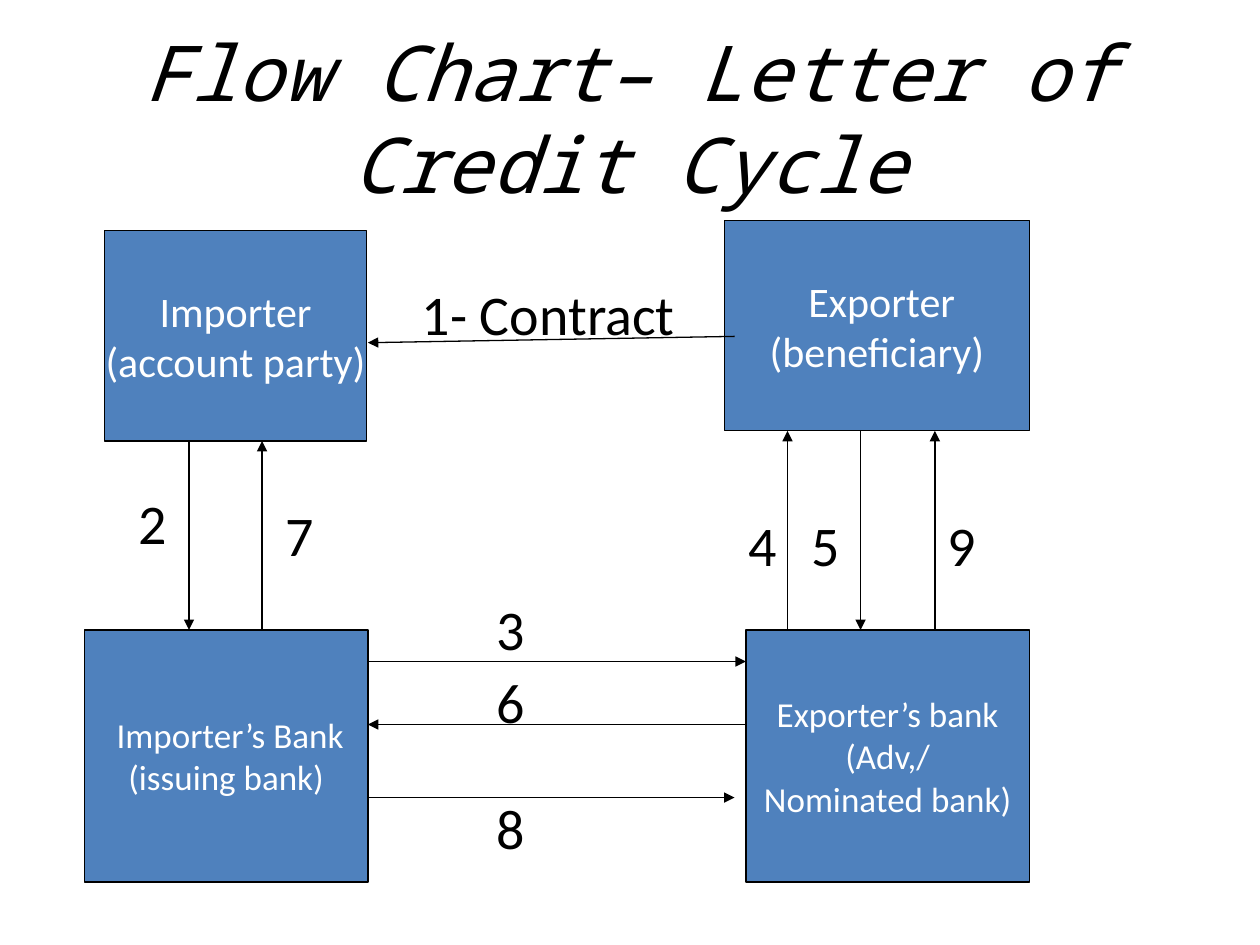
from dataclasses import dataclass

from lxml.etree import SubElement
from pptx import Presentation
from pptx.dml.color import RGBColor
from pptx.enum.shapes import MSO_CONNECTOR as Link, MSO_SHAPE as Form
from pptx.enum.text import MSO_ANCHOR as Anchor, PP_ALIGN as Align
from pptx.oxml.ns import qn
from pptx.util import Inches, Pt


@dataclass(frozen=True)
class Theme:
    """Colours, fonts and sizes of the slide."""
    ink: RGBColor = RGBColor(0, 0, 0)
    paper: RGBColor = RGBColor(255, 255, 255)
    blue: RGBColor = RGBColor(0x4F, 0x81, 0xBD)
    body: str = "Calibri"
    mono: str = "Noto Sans Mono"
    title: int = 44
    label: int = 32
    party: int = 24
    bank: int = 20
    line: float = 0.75


THEME = Theme()


def place(box):
    """Turn a box in inches into lengths."""
    return [Inches(side) for side in box]


def write(frame, text, size, color, align=Align.LEFT, font=THEME.body, italic=False):
    """Fill a text frame and format its runs."""
    frame.text = text
    for para in frame.paragraphs:
        para.alignment = align
        for run in para.runs:
            run.font.name = font
            run.font.size = Pt(size)
            run.font.italic = italic
            run.font.color.rgb = color


def add_title(slide, box, text):
    """Place the centred slanted heading."""
    frame = slide.shapes.add_textbox(*place(box)).text_frame
    frame.word_wrap = True
    frame.vertical_anchor = Anchor.MIDDLE
    write(frame, text, THEME.title, THEME.ink, Align.CENTER, THEME.mono, True)


def add_party(slide, box, text, size):
    """Place one party of the credit as a blue block."""
    block = slide.shapes.add_shape(Form.RECTANGLE, *place(box))
    block.shadow.inherit = False
    block.fill.solid()
    block.fill.fore_color.rgb = THEME.blue
    block.line.color.rgb = THEME.ink
    block.line.width = Pt(THEME.line)
    frame = block.text_frame
    frame.word_wrap = False
    frame.vertical_anchor = Anchor.MIDDLE
    write(frame, text, size, THEME.paper, Align.CENTER)


def add_arrow(slide, start, end):
    """Draw an arrow from start to end."""
    arrow = slide.shapes.add_connector(Link.STRAIGHT, *place((*start, *end)))
    arrow.line.color.rgb = THEME.ink
    arrow.line.width = Pt(THEME.line)
    SubElement(arrow.line._get_or_add_ln(), qn("a:tailEnd"), type="triangle")
    SubElement(arrow._element.spPr, qn("a:effectLst"))


def add_label(slide, left, top, text, width=0.42):
    """Place the label of a step."""
    frame = slide.shapes.add_textbox(*place((left, top, width, 0.64))).text_frame
    frame.word_wrap = False
    write(frame, text, THEME.label, THEME.ink)


def add_deal(slide, box):
    """Place the contract step between the two traders."""
    left, top, width, height = box
    add_arrow(slide, (left + width, top + height - 0.05), (left, top + height))
    add_label(slide, left + 0.33, top, "1- Contract", 2.33)


def add_column(slide, box, steps):
    """Place upright steps between a trader and its bank."""
    left, top, width, height = box
    for text, down, across, shift, drop in steps:
        ends = [(left + across, top), (left + across, top + height)]
        add_arrow(slide, *(ends if down else reversed(ends)))
        add_label(slide, left + across + shift, top + drop, text)


def add_row(slide, box, steps):
    """Place level steps between the two banks."""
    left, top, width, height = box
    for text, right, drop, rise, short in steps:
        ends = [(left, top + drop), (left + width - short, top + drop)]
        add_arrow(slide, *(ends if right else reversed(ends)))
        add_label(slide, left + 0.92, top + drop + rise, text)


def build():
    """Build and save the slide."""
    deck = Presentation()
    deck.slide_width, deck.slide_height = Inches(10), Inches(7.5)
    slide = deck.slides.add_slide(deck.slide_layouts[6])
    add_title(slide, (0.5, 0.3, 9, 1.25), "Flow Chart– Letter of Credit Cycle")

    parties = [
        ((0.83, 1.83, 2.08, 1.67), " Importer \n(account party)", THEME.party),
        ((0.67, 5, 2.25, 2), " Importer’s Bank\n(issuing bank)", THEME.bank),
        ((5.75, 1.75, 2.42, 1.67), " Exporter\n(beneficiary)", THEME.party),
        ((5.92, 5, 2.25, 2), "Exporter’s bank\n(Adv,/\nNominated bank)", THEME.bank),
    ]
    for box, text, size in parties:
        add_party(slide, box, text, size)

    add_deal(slide, (2.92, 2.17, 2.91, 0.55))
    add_column(slide, (0.67, 3.5, 2.25, 1.5), [
        ("2", True, 0.83, -0.5, 0.33),
        ("7", False, 1.41, 0.09, 0.42),
    ])
    add_column(slide, (5.92, 3.42, 2.25, 1.58), [
        ("4", False, 0.33, -0.41, 0.58),
        ("5", True, 0.91, -0.49, 0.58),
        ("9", False, 1.5, 0, 0.58),
    ])
    add_row(slide, (2.92, 5, 3, 2), [
        ("3", True, 0.25, -0.58, 0),
        ("6", False, 0.75, -0.5, 0),
        ("8", True, 1.33, -0.08, 0.09),
    ])
    deck.save("out.pptx")


if __name__ == "__main__":
    build()
